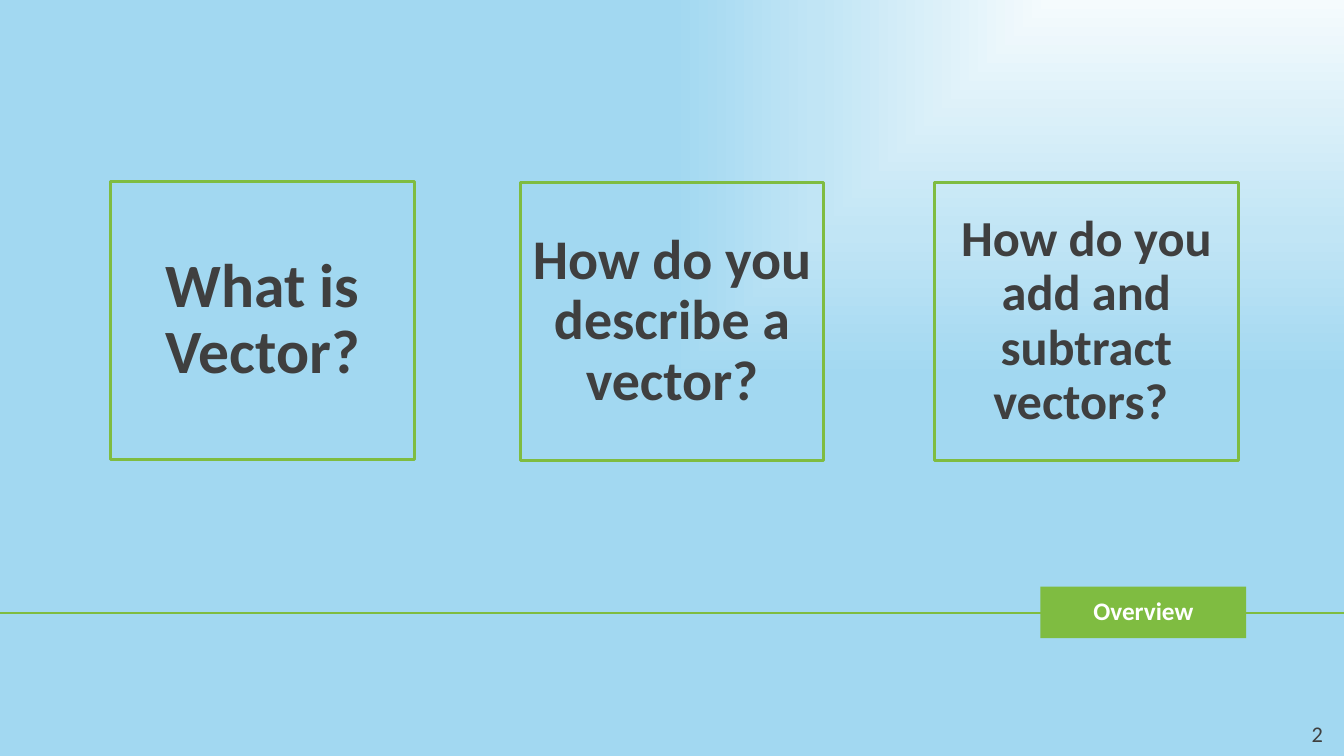
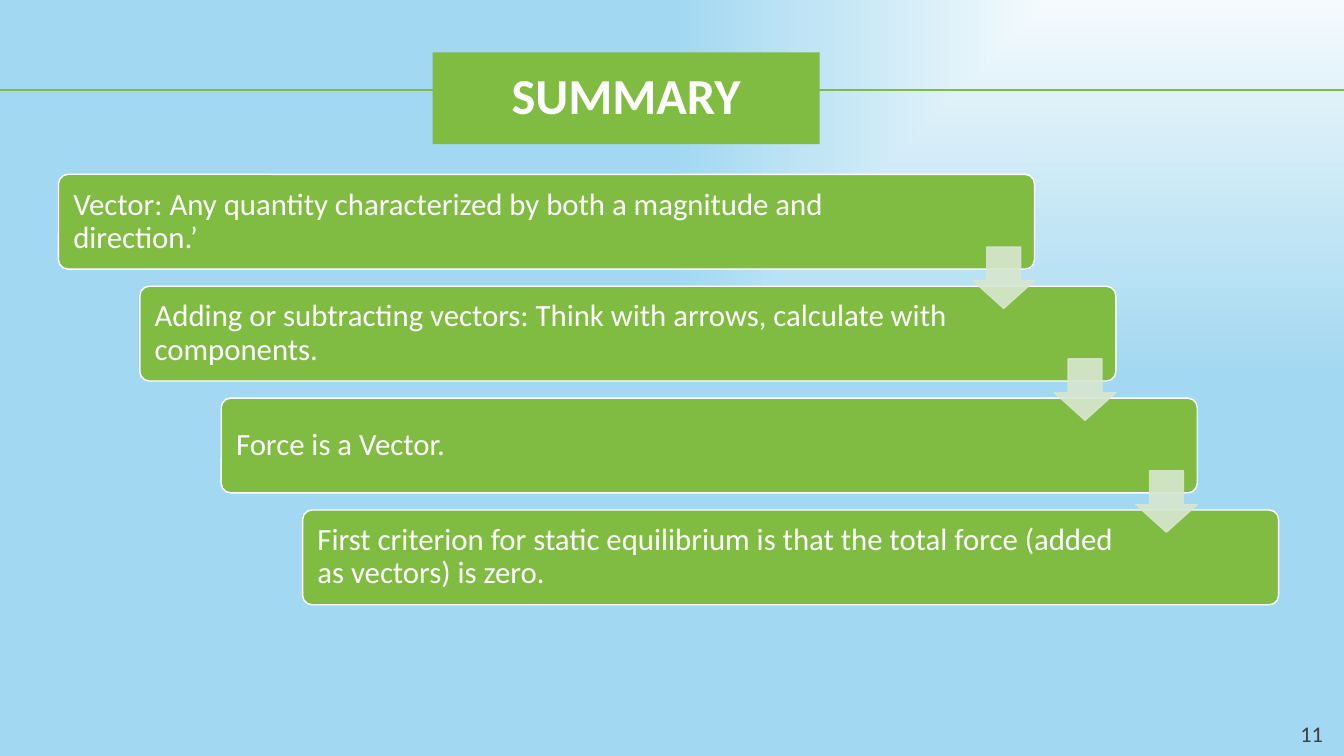
import pptx
import pptx.util
import pptx.oxml
import pptx.oxml.ns
from pptx.dml.color import RGBColor
from pptx.enum.shapes import MSO_CONNECTOR, MSO_SHAPE
from pptx.enum.text import MSO_ANCHOR, PP_ALIGN

Inches, Pt = pptx.util.Inches, pptx.util.Pt

GREEN = RGBColor(0x7F, 0xBC, 0x41)
PALE_GREEN = RGBColor(0xD8, 0xE7, 0xCF)
DARK = RGBColor(0x3F, 0x3F, 0x3F)
WHITE = RGBColor(0xFF, 0xFF, 0xFF)
SKY_STOPS = [
    (0, RGBColor(0xF5, 0xFB, 0xFD)),
    (62, RGBColor(0xC1, 0xE5, 0xF5)),
    (100, RGBColor(0xA2, 0xD8, 0xF1)),
]
FONT = "Calibri"
WIDTH, HEIGHT = 13.33, 7.5

# Question, left, top, text size
QUESTIONS = [
    ("What is Vector?", 1.1, 1.8, 44),
    ("How do you describe a vector?", 5.16, 1.81, 40),
    ("How do you add and subtract vectors? ", 9.27, 1.81, 36),
]
QUESTION_SIZE = (3.01, 2.76)

SUMMARY_POINTS = [
    "Vector: Any quantity characterized by both a magnitude and direction.’",
    "Adding or subtracting vectors: Think with arrows, calculate with components.",
    "Force is a Vector.",
    "First criterion for static equilibrium is that the total force (added as vectors) is zero.",
]
STAIR_LEFT, STAIR_TOP = 0.58, 1.73
STEP_X, STEP_Y = 0.807, 1.11
BAR_WIDTH, BAR_HEIGHT = 9.68, 0.94
ARROW_SIZE = 0.61
ARROW_DROP = 0.72


def add_block(slide, box, kind=MSO_SHAPE.RECTANGLE, fill=None, line=None,
              line_width=1, adjustments=()):
    block = slide.shapes.add_shape(kind, *map(Inches, box))
    block.shadow.inherit = False
    for index, value in enumerate(adjustments):
        block.adjustments[index] = value
    if fill is None:
        block.fill.background()
    else:
        block.fill.solid()
        block.fill.fore_color.rgb = fill
    if line is None:
        block.line.fill.background()
    else:
        block.line.color.rgb = line
        block.line.width = Pt(line_width)
    return block


def write(shape, text, size, color, bold=False, align=PP_ALIGN.CENTER,
          spacing=0.9, **margins):
    frame = shape.text_frame
    frame.word_wrap = True
    frame.vertical_anchor = MSO_ANCHOR.MIDDLE
    for side, inches in margins.items():
        setattr(frame, f"margin_{side}", Inches(inches))
    paragraph = frame.paragraphs[0]
    paragraph.alignment = align
    paragraph.line_spacing = spacing
    run = paragraph.add_run()
    run.text = text
    for name, value in dict(name=FONT, size=Pt(size), bold=bold).items():
        setattr(run.font, name, value)
    run.font.color.rgb = color


def paint_sky(slide):
    """Fill the background with a gradient that starts at the top right corner."""
    stops = "".join(
        f'<a:gs pos="{pos * 1000}"><a:srgbClr val="{color}"/></a:gs>'
        for pos, color in SKY_STOPS)
    background = pptx.oxml.parse_xml(
        f'<p:bg {pptx.oxml.ns.nsdecls("p", "a")}><p:bgPr>'
        f'<a:gradFill rotWithShape="1"><a:gsLst>{stops}</a:gsLst>'
        '<a:path path="rect"><a:fillToRect l="100000" b="100000"/></a:path>'
        '<a:tileRect t="-100000" r="-100000"/></a:gradFill>'
        '<a:effectLst/></p:bgPr></p:bg>')
    slide.element[0].insert(0, background)


def add_rule(slide, y):
    rule = slide.shapes.add_connector(
        MSO_CONNECTOR.STRAIGHT, 0, Inches(y), Inches(WIDTH), Inches(y))
    rule.line.color.rgb = GREEN
    rule.line.width = Pt(1.5)
    rule.element.spPr.append(pptx.oxml.parse_xml(
        f'<a:effectLst {pptx.oxml.ns.nsdecls("a")}/>'))


def start_slide(deck, number, title, title_box, title_size, rule_y):
    """Add a slide with the shared sky, rule, title label and page number."""
    slide = deck.slides.add_slide(deck.slide_layouts[6])
    paint_sky(slide)
    add_rule(slide, rule_y)
    label = add_block(slide, title_box, fill=GREEN)
    write(label, title, title_size, WHITE, bold=True)
    page = slide.shapes.add_textbox(*map(Inches, (12.66, 7.1, 0.56, 0.35)))
    write(page, str(number), 16, DARK, align=PP_ALIGN.RIGHT, spacing=1.0)
    return slide


def make_translucent(shape, percent):
    for color in shape.element.spPr.iter(pptx.oxml.ns.qn("a:srgbClr")):
        color.append(pptx.oxml.parse_xml(
            f'<a:alpha {pptx.oxml.ns.nsdecls("a")} val="{percent * 1000}"/>'))


def build_overview(deck):
    slide = start_slide(deck, 2, "Overview", (10.32, 5.82, 2.04, 0.51), 18, 6.08)
    for question, left, top, size in QUESTIONS:
        box = add_block(slide, (left, top, *QUESTION_SIZE), line=GREEN, line_width=2.25)
        write(box, question, size, DARK, bold=True)


def build_summary(deck):
    slide = start_slide(deck, 11, "SUMMARY", (4.29, 0.52, 3.84, 0.91), 36, 0.89)
    corners = [(STAIR_LEFT + i * STEP_X, STAIR_TOP + i * STEP_Y)
               for i in range(len(SUMMARY_POINTS))]
    for point, (left, top) in zip(SUMMARY_POINTS, corners):
        bar = add_block(slide, (left, top, BAR_WIDTH, BAR_HEIGHT),
                        MSO_SHAPE.ROUNDED_RECTANGLE, GREEN, WHITE, adjustments=[0.1])
        write(bar, point, 22, WHITE, align=PP_ALIGN.LEFT, left=0.12, right=1.52)
    for left, top in corners[:-1]:
        arrow = add_block(
            slide,
            (left + BAR_WIDTH - ARROW_SIZE, top + ARROW_DROP, ARROW_SIZE, ARROW_SIZE),
            MSO_SHAPE.DOWN_ARROW, PALE_GREEN, PALE_GREEN, adjustments=[0.55, 0.45])
        make_translucent(arrow, 90)


def main():
    deck = pptx.Presentation()
    deck.slide_width, deck.slide_height = Inches(WIDTH), Inches(HEIGHT)
    build_overview(deck)
    build_summary(deck)
    deck.save("out.pptx")


if __name__ == "__main__":
    main()
